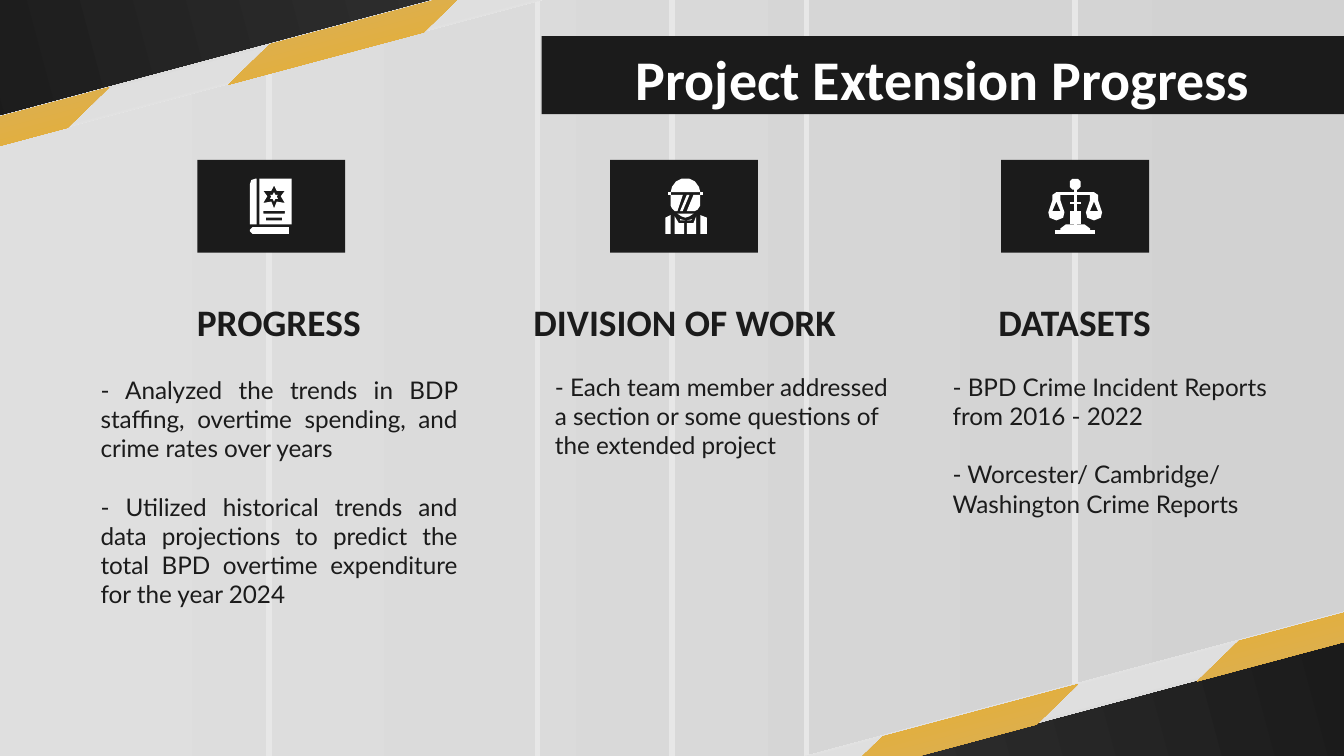
from pptx import Presentation
from pptx.dml.color import RGBColor
from pptx.enum.shapes import MSO_CONNECTOR, MSO_SHAPE
from pptx.enum.text import MSO_ANCHOR, MSO_AUTO_SIZE, PP_ALIGN
from pptx.oxml.ns import qn
from pptx.util import Pt
from lxml import etree

RECT, SLANT = MSO_SHAPE.RECTANGLE, MSO_SHAPE.FLOWCHART_DATA
LEFT, CENTER, JUSTIFY = PP_ALIGN.LEFT, PP_ALIGN.CENTER, PP_ALIGN.JUSTIFY
TOP, MIDDLE, BOTTOM = MSO_ANCHOR.TOP, MSO_ANCHOR.MIDDLE, MSO_ANCHOR.BOTTOM

INK = RGBColor(0x1B, 0x1B, 0x1B)
WHITE = RGBColor(0xFF, 0xFF, 0xFF)
RULE = RGBColor(0xE7, 0xE7, 0xE7)
BACK = (RGBColor(0xDF, 0xDF, 0xDF), RGBColor(0xD2, 0xD2, 0xD2))
BLACKS = (RGBColor(0x42, 0x42, 0x42), RGBColor(0x01, 0x01, 0x01))
SILVERS = (WHITE, RGBColor(0xBE, 0xBE, 0xBE))
GOLDS = (RGBColor(0xEA, 0xAD, 0x29), RGBColor(0xD5, 0xB1, 0x63))


def box(x1, y1, x2, y2):
    return [(x1, y1), (x2, y1), (x2, y2), (x1, y2)]


def mirror(shape):
    return [[(110 - x, y) for x, y in contour] for contour in shape]


# Icons: shapes made of contours, in units of 0.72 pt from the card's corner
ICON_UNIT = 0.72
PAN = [[(41, 24), (38, 26), (38, 30), (35, 39), (36, 43), (41, 45), (46, 43),
        (47, 39), (44, 30), (44, 26)], [(41, 31), (44, 38), (38, 38)]]
BOOK = [
    [[(41, 50), (39, 52), (39, 53), (41, 55), (68, 55), (68, 50)]],
    [[(43, 14), (40, 15), (39, 18), (39, 48), (44, 48), (44, 14)]],
    [[(57, 24), (56, 26), (54, 26), (55, 27), (54, 29), (56, 29), (57, 31),
      (58, 29), (60, 29), (59, 27), (60, 26), (58, 26)]],
    [box(46, 14, 70, 48),
     [(57, 19), (59, 23), (65, 23), (62, 27), (65, 32), (59, 31), (57, 36),
      (55, 31), (49, 32), (52, 27), (49, 23), (55, 23)],
     box(49, 38, 65, 40), box(51, 43, 63, 45)],
]
OFFICER = [
    [[(45, 24), (46, 20), (49, 16), (53, 14), (59, 14), (63, 16), (66, 20), (67, 24)]],
    [box(43, 24, 45, 26)], [box(67, 24, 69, 26)],
    [[(45, 26), (45, 34), (46, 36), (48, 38), (50, 38), (54, 26)]],
    [[(57, 26), (52, 38), (54, 38), (59, 26)]],
    [[(62, 26), (57, 38), (63, 38), (65, 37), (67, 34), (67, 26)]],
    [[(50, 40), (53, 42), (56, 43), (59, 42), (62, 40)]],
    [[(52, 44), (52, 45), (56, 45)]], [[(61, 44), (60, 45), (57, 45)]],
    [[(45, 41), (41, 43), (41, 55), (45, 55)]],
    [[(48, 42), (48, 55), (55, 55), (55, 47), (51, 47)]],
    [[(64, 42), (62, 47), (57, 47), (57, 55), (64, 55)]],
    [[(67, 41), (67, 55), (72, 55), (72, 43)]],
]
SCALES = [
    [[(53, 14), (57, 14), (59, 16), (59, 20), (57, 22), (53, 22), (51, 20), (51, 16)]],
    [box(54, 20, 56, 50)], [box(41, 24, 69, 26)], [box(51, 31, 59, 33)],
    [box(51, 38, 59, 48)],
    [[(44, 52), (44, 51), (48, 48), (62, 48), (66, 51), (66, 52)]],
    [box(40, 52, 70, 55)], PAN, mirror(PAN),
]

# Content
TITLE = "Project Extension Progress"
COLUMNS = [
    dict(head="PROGRESS", icon=BOOK, card_x=105.8, head_x=51.1, body_x=46.8,
         body_w=205.2, align=JUSTIFY, anchor=MIDDLE,
         body=["- Analyzed the trends in BDP staffing, overtime spending, "
               "and crime rates over years",
               "- Utilized historical trends and data projections to predict "
               "the total BPD overtime expenditure for the year 2024"]),
    dict(head="DIVISION OF WORK", icon=OFFICER, card_x=326.9, head_x=268.6,
         body_x=290.2, body_w=196.6, align=LEFT, anchor=TOP,
         body=["- Each team member addressed a section or some questions "
               "of the extended project"]),
    dict(head="DATASETS", icon=SCALES, card_x=536.4, head_x=477.4, body_x=503.3,
         body_w=196.6, align=LEFT, anchor=TOP,
         body=["- BPD Crime Incident Reports from 2016 - 2022",
               "- Worcester/ Cambridge/ Washington Crime Reports"]),
]
RULES_X = [144, 288, 360, 432, 576]

# Corner bands: rotation, then black slab, silver strip and gold pieces
SLAB, STRIP, GOLD = (865.4, 79.2), (828.7, 15.1), (135.4, 15.1)
CORNERS = [
    (345, (205.9, 358.6), (194.4, 357.8), [(446.4, 383.8), (637.2, 332.6)]),
    (165, (-372.2, -25.9), (-324, 38.2), [(118.1, 13), (-72.7, 64.1)]),
]

prs = Presentation()
prs.slide_width, prs.slide_height = Pt(720), Pt(405)
s = prs.slides.add_slide(prs.slide_layouts[5])


def gradient(fill, colors, angle):
    fill.gradient()
    fill.gradient_angle = angle
    for stop, color in zip(fill.gradient_stops, colors):
        stop.color.rgb = color


def add_band(kind, pos, size, rotation, colors, angle, outline=None):
    sp = s.shapes.add_shape(kind, *map(Pt, pos + size))
    sp.rotation = rotation
    sp.shadow.inherit = False
    gradient(sp.fill, colors, angle)
    if outline is None:
        sp.line.fill.background()
    else:
        sp.line.color.rgb = outline
        sp.line.width = Pt(0.75)


def paint(sp, color):
    sp.shadow.inherit = False
    sp.fill.solid()
    sp.fill.fore_color.rgb = color
    sp.line.fill.background()


def write(sp, paragraphs, size, font="Calibri", color=INK, bold=False,
          align=CENTER, anchor=MIDDLE, bottom=7.2, gap=0):
    tf = sp.text_frame
    tf.word_wrap = True
    tf.auto_size = MSO_AUTO_SIZE.NONE
    tf.vertical_anchor = anchor
    tf.margin_left = tf.margin_right = tf.margin_top = Pt(7.2)
    tf.margin_bottom = Pt(bottom)
    for i, text in enumerate(paragraphs):
        p = tf.add_paragraph() if i else tf.paragraphs[0]
        p.alignment = align
        p.space_before = Pt(gap if i else 0)
        r = p.add_run()
        r.text = text
        r.font.name, r.font.size, r.font.bold = font, Pt(size), bold
        r.font.color.rgb = color


def add_icon(shapes, x, y):
    for first, *holes in shapes:
        builder = s.shapes.build_freeform(*first[0], scale=Pt(ICON_UNIT))
        builder.add_line_segments(first[1:], close=True)
        for hole in holes:
            builder.move_to(*hole[0])
            builder.add_line_segments(hole[1:], close=True)
        paint(builder.convert_to_shape(Pt(x), Pt(y)), WHITE)


# Background and vertical rules
gradient(s.background.fill, BACK, 0)
for x in RULES_X:
    rule = s.shapes.add_connector(MSO_CONNECTOR.STRAIGHT, Pt(x), 0, Pt(x), Pt(405))
    rule.line.color.rgb = RULE
    rule.line.width = Pt(3)
    etree.SubElement(rule.element.spPr, qn("a:effectLst"))

# Corner bands
for rotation, slab, strip, golds in CORNERS:
    add_band(RECT, slab, SLAB, rotation, BLACKS, 0, outline=WHITE)
    add_band(RECT, strip, STRIP, rotation, SILVERS, 270)
    for gold in golds:
        add_band(SLANT, gold, GOLD, rotation, GOLDS, 270)

# Title bar, raised above the rules
title = s.shapes.title
title.left, title.top, title.width, title.height = map(Pt, (290.2, 19.4, 429.8, 41.8))
paint(title, INK)
write(title, [TITLE], 30, color=WHITE, bold=True, bottom=3.6)
title.element.getparent().append(title.element)

# Columns: card with icon, heading, body
for col in COLUMNS:
    card = s.shapes.add_shape(RECT, *map(Pt, (col["card_x"], 85.7, 79.2, 49.7)))
    paint(card, INK)
    add_icon(col["icon"], col["card_x"], 85.7)
    head = s.shapes.add_textbox(*map(Pt, (col["head_x"], 149.8, 196.6, 41.8)))
    write(head, [col["head"]], 20, bold=True, anchor=BOTTOM)
    body = s.shapes.add_textbox(*map(Pt, (col["body_x"], 192.2, col["body_w"], 142.6)))
    write(body, col["body"], 13, font="Lato", align=col["align"],
          anchor=col["anchor"], gap=15.6)

prs.save("out.pptx")
